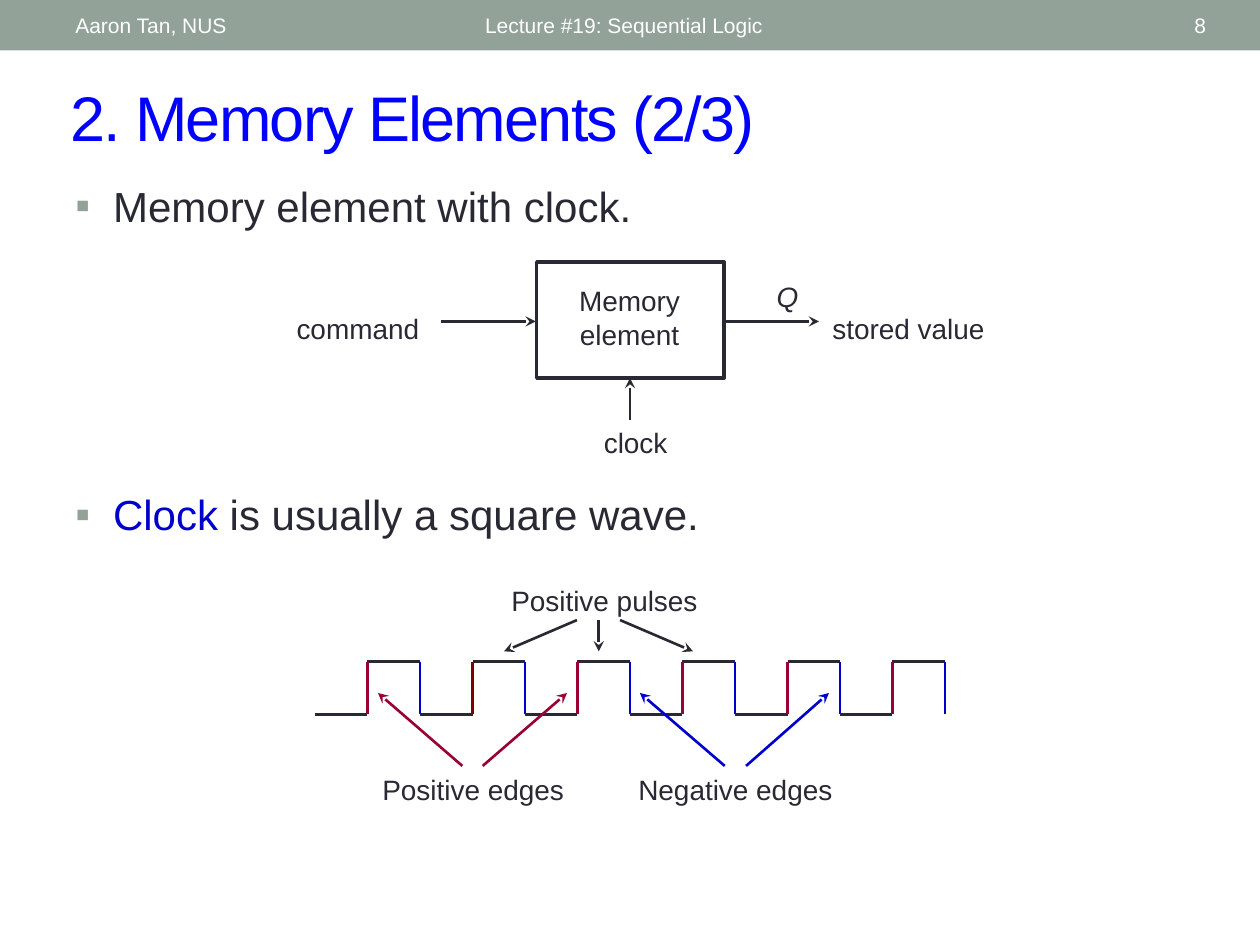
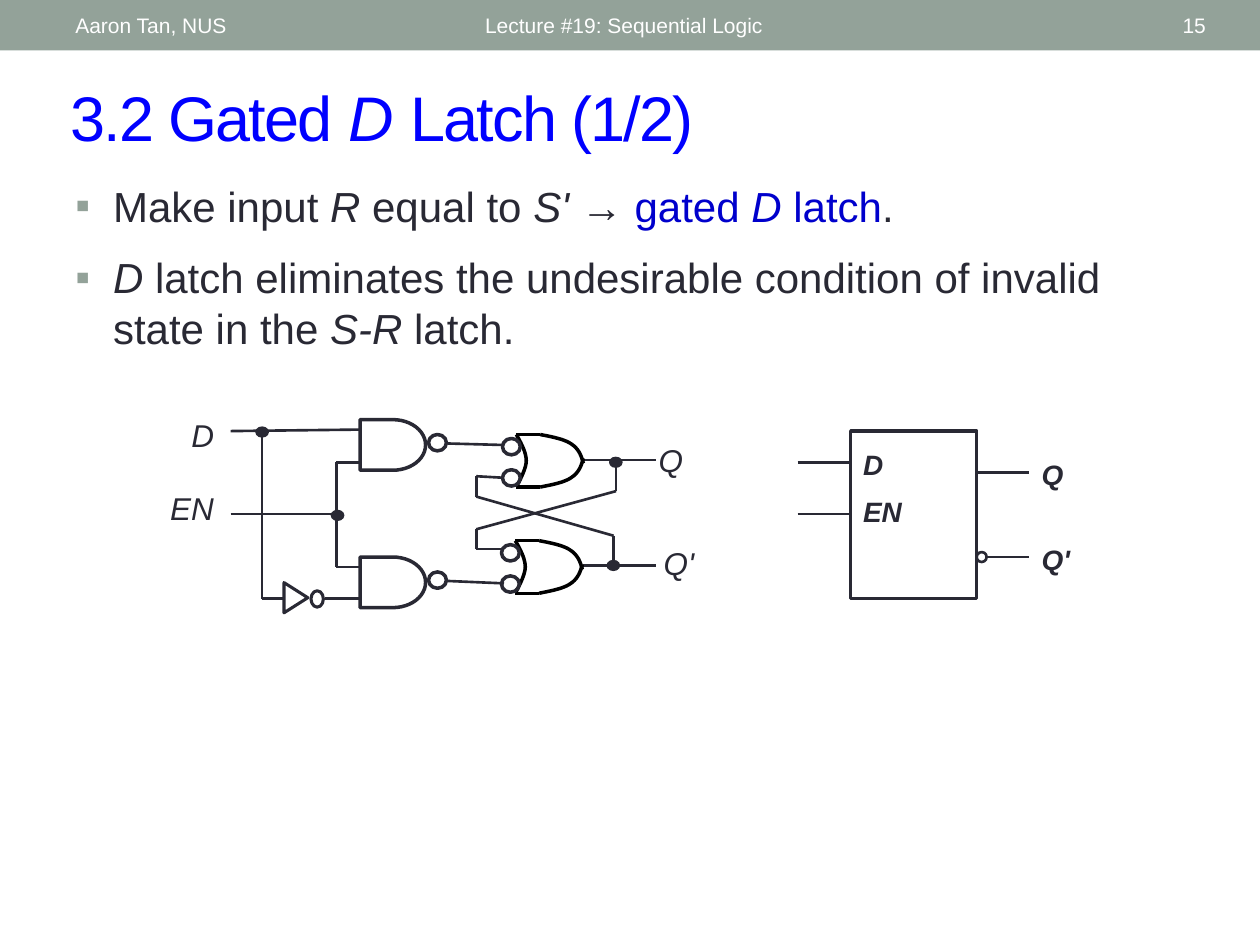
from itertools import pairwise

from lxml.etree import SubElement
from pptx import Presentation
from pptx.dml.color import RGBColor
from pptx.enum.shapes import MSO_CONNECTOR, MSO_SHAPE as Shape
from pptx.enum.text import MSO_ANCHOR as Anchor, PP_ALIGN as Align
from pptx.oxml.ns import qn
from pptx.util import Cm, Pt

FONT = "Arial"
SAGE = RGBColor(0x93, 0xA2, 0x99)
CHARCOAL = RGBColor(0x29, 0x29, 0x34)
TITLE_BLUE = RGBColor(0x00, 0x00, 0xFF)
BLUE = RGBColor(0x00, 0x00, 0xCC)
CRIMSON = RGBColor(0x99, 0x00, 0x33)
MAROON = RGBColor(0x80, 0x00, 0x00)
BLACK = RGBColor(0x00, 0x00, 0x00)
WHITE = RGBColor(0xFF, 0xFF, 0xFF)

OR_HEIGHT = 1.06
OR_BACK = [(0, 0), (0.1, 0.18), (0.2, 0.36), (0.2, 0.53),
           (0.2, 0.71), (0.03, 0.99), (0, OR_HEIGHT)]
OR_TOP = [(0.48, 0), (0.74, 0.05), (0.99, 0.1), (1.12, 0.2),
          (1.27, 0.3), (1.32, 0.46), (1.35, 0.58)]


def add_text(slide, box, paragraphs, size, color=CHARCOAL, align=Align.LEFT,
             anchor=Anchor.TOP, bold=False, gap=0):
    """Each paragraph is a list of (text, italic[, colour]) runs."""
    frame = slide.shapes.add_textbox(*map(Cm, box)).text_frame
    frame.word_wrap = True
    frame.vertical_anchor = anchor
    for index, runs in enumerate(paragraphs):
        paragraph = frame.add_paragraph() if index else frame.paragraphs[0]
        paragraph.alignment = align
        if index:
            paragraph.space_before = Pt(gap)
        for text, italic, *run_color in runs:
            run = paragraph.add_run()
            run.text = text
            run.font.name = FONT
            run.font.size = Pt(size)
            run.font.bold = bold
            run.font.italic = italic
            run.font.color.rgb = run_color[0] if run_color else color
    return frame


def add_label(slide, text, left, top, width, height=0.94, size=16,
              italic=False, align=Align.CENTER):
    add_text(slide, (left, top, width, height), [[(text, italic)]], size,
             align=align)


def add_bullets(slide, top, height, paragraphs):
    frame = add_text(slide, (1.27, top, 22.86, height), paragraphs, 24, gap=12)
    for paragraph in frame.paragraphs:
        properties = paragraph._p.get_or_add_pPr()
        properties.set("marL", str(Cm(0.76)))
        properties.set("indent", str(-Cm(0.76)))
        bullet_color = SubElement(properties, qn("a:buClr"))
        SubElement(bullet_color, qn("a:srgbClr"), val=str(SAGE))
        SubElement(properties, qn("a:buFont"), typeface=FONT)
        SubElement(properties, qn("a:buChar"), char="▪")


def style_outline(shape, color, width, fill=None):
    shape.shadow.inherit = False
    if fill is None:
        shape.fill.background()
    else:
        shape.fill.solid()
        shape.fill.fore_color.rgb = fill
    shape.line.color.rgb = color
    shape.line.width = Pt(width)


def add_outline(slide, kind, left, top, width, height, line_width=2, fill=None):
    shape = slide.shapes.add_shape(kind, *map(Cm, (left, top, width, height)))
    style_outline(shape, CHARCOAL, line_width, fill)
    return shape


def add_line(slide, start, end, color=CHARCOAL, width=1.5, arrow=False):
    line = slide.shapes.add_connector(MSO_CONNECTOR.STRAIGHT,
                                      *map(Cm, (*start, *end)))
    line.line.color.rgb = color
    line.line.width = Pt(width)
    if arrow:
        SubElement(line.line._get_or_add_ln(), qn("a:tailEnd"), type="stealth")
    SubElement(line._element.spPr, qn("a:effectLst"))


def add_wire(slide, *points):
    for start, end in pairwise(points):
        add_line(slide, start, end)


def bezier_points(controls, steps=10):
    """Sample a chain of cubic curves that share their end points."""
    points = [controls[0]]
    for first in range(0, len(controls) - 1, 3):
        curve = controls[first:first + 4]
        for step in range(1, steps + 1):
            t = step / steps
            weights = ((1 - t) ** 3, 3 * t * (1 - t) ** 2,
                       3 * t ** 2 * (1 - t), t ** 3)
            points.append(tuple(sum(w * p[axis] for w, p in zip(weights, curve))
                                for axis in (0, 1)))
    return points


def add_curve(slide, left, top, controls):
    points = [(Cm(left + x), Cm(top + y)) for x, y in bezier_points(controls)]
    builder = slide.shapes.build_freeform(*points[0])
    builder.add_line_segments(points[1:], close=False)
    style_outline(builder.convert_to_shape(), BLACK, 2)


def add_or_gate(slide, left, top):
    """OR gate with two inverted inputs."""
    add_curve(slide, left, top, OR_BACK)
    add_curve(slide, left, top, OR_TOP)
    add_curve(slide, left, top, [(x, OR_HEIGHT - y) for x, y in OR_TOP])
    for y in (top, top + OR_HEIGHT):
        add_line(slide, (left, y), (left + 0.48, y), BLACK, 2)
    for offset in (0.08, 0.71):
        add_outline(slide, Shape.OVAL, left - 0.28, top + offset, 0.36, 0.33)


def add_nand_gate(slide, left, top):
    add_outline(slide, Shape.FLOWCHART_DELAY, left, top, 1.32, 1.02)
    add_outline(slide, Shape.OVAL, left + 1.38, top + 0.3, 0.36, 0.33)


def add_inverter(slide, left, top):
    triangle = add_outline(slide, Shape.FLOWCHART_EXTRACT, left, top,
                           0.61, 0.48, 1.75)
    triangle.rotation = 90
    add_outline(slide, Shape.OVAL, left + 0.61, top + 0.1, 0.25, 0.33, 1.75)


def add_base_slide(presentation, number, title):
    """Blank slide with the header band and the title."""
    slide = presentation.slides.add_slide(presentation.slide_layouts[6])
    band = slide.shapes.add_shape(Shape.RECTANGLE, 0, 0,
                                  presentation.slide_width, Cm(1.02))
    style_outline(band, SAGE, 1, SAGE)
    band.line.fill.background()
    for text, left, width, align in (
            ("Aaron Tan, NUS", 1.27, 8.05, Align.LEFT),
            ("Lecture #19: Sequential Logic", 9.53, 11.43, Align.LEFT),
            (str(number), 22.15, 2.41, Align.RIGHT)):
        add_text(slide, (left, 0.05, width, 0.91), [[(text, False)]], 12,
                 WHITE, align, Anchor.MIDDLE)
    frame = add_text(slide, (1.17, 1.45, 23.5, 1.78), [title], 36, TITLE_BLUE,
                     anchor=Anchor.MIDDLE)
    for run in frame.paragraphs[0].runs:
        run.font._element.set("spc", "-100")
    return slide


def draw_memory_element(slide):
    add_outline(slide, Shape.RECTANGLE, 10.82, 5.28, 3.78, 2.34)
    add_label(slide, "Memory element", 11, 5.59, 3.38, 1.7)
    add_label(slide, "command", 5.41, 6.15, 3.61)
    add_label(slide, "stored value", 16.41, 6.15, 3.81)
    add_label(slide, "Q", 15.24, 5.51, 1.27, italic=True)
    add_label(slide, "clock", 11.86, 8.46, 1.91)
    for start, end in (((8.89, 6.48), (10.8, 6.48)),
                       ((14.6, 6.48), (16.51, 6.48)),
                       ((12.7, 8.46), (12.7, 7.62))):
        add_line(slide, start, end, arrow=True)


def draw_square_wave(slide):
    left, high, low, half_period = 6.35, 13.34, 14.4, 12.7 / 12
    for pulse in range(6):
        start = left + 2 * pulse * half_period
        rise, fall = start + half_period, start + 2 * half_period
        add_line(slide, (start, low), (rise, low))
        add_line(slide, (rise, high), (fall, high))
        add_line(slide, (rise, high), (rise, low),
                 MAROON if pulse == 1 else CRIMSON)
        add_line(slide, (fall, high), (fall, low), BLUE)

    add_label(slide, "Positive pulses", 9.96, 11.63, 4.45)
    add_label(slide, "Positive edges", 7.42, 15.44, 4.24)
    add_label(slide, "Negative edges", 12.5, 15.44, 4.65)
    for color, start_y, end_y, spans in (
            (CHARCOAL, 12.5, 13.13,
             ((11.63, 10.16), (12.07, 12.07), (12.5, 13.97))),
            (CRIMSON, 15.44, 13.97, ((9.32, 7.62), (9.73, 11.43))),
            (BLUE, 15.44, 13.97, ((14.61, 12.9), (15.04, 16.71)))):
        for start_x, end_x in spans:
            add_line(slide, (start_x, start_y), (end_x, end_y), color,
                     arrow=True)


def draw_latch_symbol(slide):
    add_outline(slide, Shape.RECTANGLE, 17.15, 8.69, 2.54, 3.38)
    for y in (9.32, 10.36):
        add_line(slide, (16.08, y), (17.15, y))
    add_line(slide, (19.69, 9.53), (20.75, 9.53))
    add_outline(slide, Shape.OVAL, 19.69, 11.13, 0.2, 0.2, 1.5)
    add_line(slide, (19.89, 11.23), (20.75, 11.23))
    add_text(slide, (17.15, 8.89, 1.47, 1.96), [[("D", True)], [("EN", True)]],
             16, bold=True, gap=8)
    add_text(slide, (20.75, 9.09, 1.27, 2.69), [[("Q", True)], [("Q'", True)]],
             16, bold=True, gap=29.6)


def draw_latch_circuit(slide):
    # Inputs
    add_wire(slide, (4.65, 8.69), (7.24, 8.66))
    add_wire(slide, (5.28, 8.69), (5.28, 12.07), (5.72, 12.07))
    add_wire(slide, (6.55, 12.07), (7.24, 12.07))
    add_wire(slide, (4.65, 10.36), (6.78, 10.36))
    add_wire(slide, (7.24, 9.32), (6.78, 9.32), (6.78, 11.43), (7.24, 11.43))
    # Between the gates, with the crossed feedback
    add_wire(slide, (9.02, 8.94), (10.13, 8.97))
    add_wire(slide, (8.99, 11.71), (10.16, 11.76))
    add_wire(slide, (10.13, 9.63), (9.6, 9.6), (9.6, 10.01), (12.37, 10.8),
             (12.37, 11.43))
    add_wire(slide, (10.11, 11.07), (9.6, 11.07), (9.6, 10.67), (12.42, 9.9),
             (12.42, 9.3))
    # Outputs
    for y in (9.27, 11.4):
        add_wire(slide, (11.76, y), (13.23, y))

    add_inverter(slide, 5.66, 11.81)
    for top in (8.46, 11.23):
        add_nand_gate(slide, 7.26, top)
    add_or_gate(slide, 10.41, 8.76)
    add_or_gate(slide, 10.39, 10.9)
    for left, top in ((5.16, 8.61), (6.68, 10.29), (12.29, 9.22), (12.24, 11.3)):
        add_outline(slide, Shape.OVAL, left, top, 0.25, 0.2, 0.75, CHARCOAL)
    for text, left, top, width in (("D", 3.61, 8.26, 1.22),
                                   ("EN", 3.18, 9.73, 1.52),
                                   ("Q", 13.03, 8.76, 1.17),
                                   ("Q'", 13.13, 10.85, 1.17)):
        add_label(slide, text, left, top, width, 1.02, 18, True, Align.LEFT)


def main():
    presentation = Presentation()
    presentation.slide_width = Cm(25.4)
    presentation.slide_height = Cm(19.05)

    slide = add_base_slide(presentation, 8, [("2. Memory Elements (2/3)", False)])
    add_bullets(slide, 3.51, 2.84, [[("Memory element with clock.", False)]])
    add_bullets(slide, 9.73, 1.7, [[("Clock", False, BLUE),
                                    (" is usually a square wave.", False)]])
    draw_memory_element(slide)
    draw_square_wave(slide)

    slide = add_base_slide(presentation, 15, [
        ("3.2 Gated ", False), ("D", True), (" Latch (1/2)", False)])
    add_bullets(slide, 3.51, 4.11, [
        [("Make input ", False), ("R", True), (" equal to ", False),
         ("S' ", True), ("→ ", False), ("gated ", False, BLUE),
         ("D", True, BLUE), (" latch", False, BLUE), (".", False)],
        [("D", True),
         (" latch eliminates the undesirable condition of invalid state in the ",
          False),
         ("S-R", True), (" latch.", False)]])
    draw_latch_symbol(slide)
    draw_latch_circuit(slide)

    presentation.save("out.pptx")


if __name__ == "__main__":
    main()
